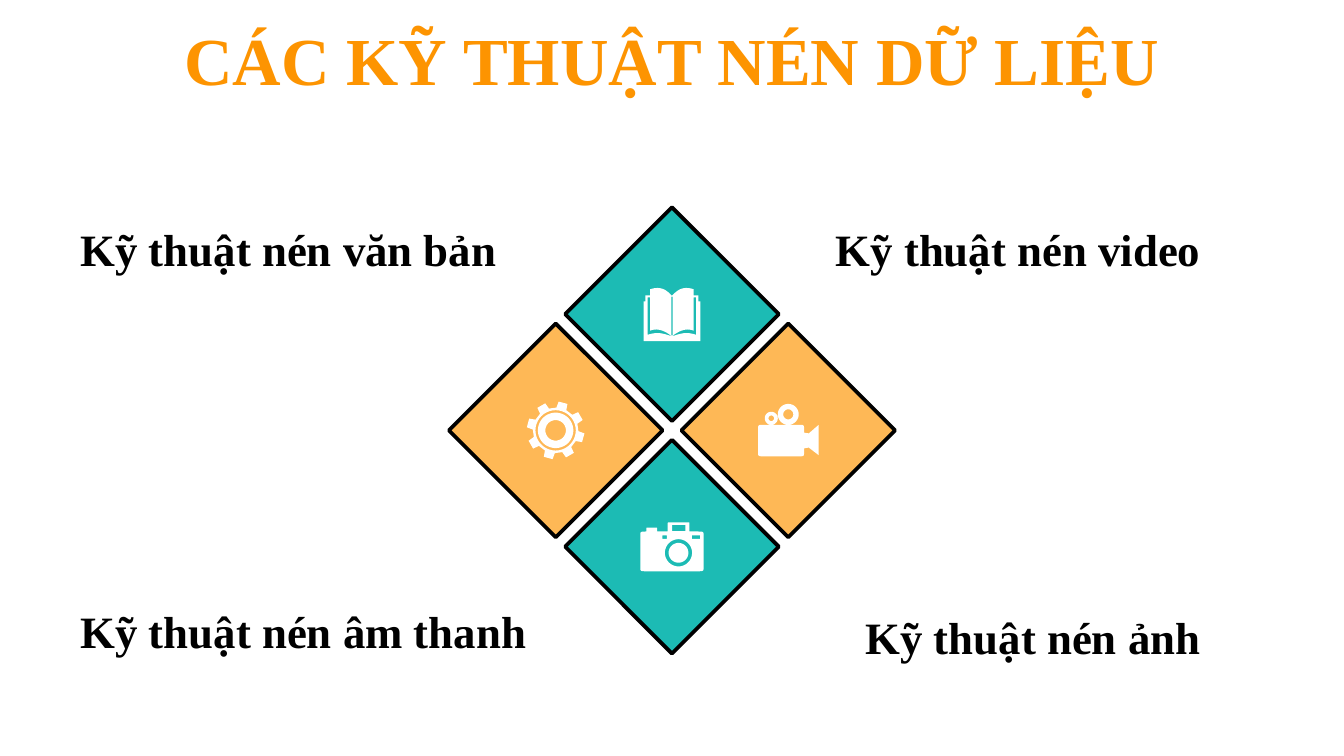
from dataclasses import dataclass
from math import cos, pi, radians, sin

from pptx import Presentation
from pptx.dml.color import RGBColor
from pptx.enum.shapes import MSO_SHAPE
from pptx.enum.text import MSO_ANCHOR, MSO_AUTO_SIZE, PP_ALIGN
from pptx.oxml.ns import qn
from pptx.util import Pt


@dataclass(frozen=True)
class Theme:
    font: str = "Times New Roman"
    title_size: int = 36
    label_size: int = 24
    title: RGBColor = RGBColor(0xFD, 0x94, 0x01)
    ink: RGBColor = RGBColor(0x00, 0x00, 0x00)
    icon: RGBColor = RGBColor(0xFF, 0xFF, 0xFF)
    teal: RGBColor = RGBColor(0x1C, 0xBB, 0xB4)
    amber: RGBColor = RGBColor(0xFE, 0xB8, 0x56)


class SlideWriter:
    def __init__(self, slide, theme):
        self.slide = slide
        self.theme = theme

    def text(self, words, left, top, width, height, size, color, align, anchor, fit):
        frame = self.slide.shapes.add_textbox(
            Pt(left), Pt(top), Pt(width), Pt(height)).text_frame
        frame.word_wrap = True
        frame.auto_size = fit
        frame.vertical_anchor = anchor
        paragraph = frame.paragraphs[0]
        paragraph.alignment = align
        run = paragraph.add_run()
        run.text = words
        run.font.name = self.theme.font
        run.font.size = Pt(size)
        run.font.bold = True
        run.font.color.rgb = color

    def title(self, words, left, top, width, height):
        self.text(words, left, top, width, height, self.theme.title_size, self.theme.title,
                  PP_ALIGN.CENTER, MSO_ANCHOR.MIDDLE, MSO_AUTO_SIZE.NONE)

    def label(self, words, left, top, width, height, align):
        self.text(words, left, top, width, height, self.theme.label_size, self.theme.ink,
                  align, MSO_ANCHOR.TOP, MSO_AUTO_SIZE.SHAPE_TO_FIT_TEXT)

    def diamond(self, center_x, center_y, size, color):
        tile = self.slide.shapes.add_shape(
            MSO_SHAPE.DIAMOND, Pt(center_x - size / 2), Pt(center_y - size / 2),
            Pt(size), Pt(size))
        tile.shadow.inherit = False
        tile.fill.solid()
        tile.fill.fore_color.rgb = color
        tile.line.color.rgb = self.theme.ink
        tile.line.width = Pt(2)
        outline = tile.element.spPr.find(qn("a:ln"))
        outline.append(outline.makeelement(qn("a:round"), {}))

    def icon(self, center_x, center_y, contours):
        """Draw contours around a centre; a contour inside another is a hole."""
        placed = [[(Pt(center_x + x), Pt(center_y + y)) for x, y in contour]
                  for contour in contours]
        builder = self.slide.shapes.build_freeform(*placed[0][0], scale=1.0)
        builder.add_line_segments(placed[0][1:], close=True)
        for contour in placed[1:]:
            builder.move_to(*contour[0])
            builder.add_line_segments(contour[1:], close=True)
        drawing = builder.convert_to_shape()
        drawing.shadow.inherit = False
        drawing.fill.solid()
        drawing.fill.fore_color.rgb = self.theme.icon
        drawing.line.fill.background()


def circle(x, y, radius, steps=40):
    return [(x + radius * cos(2 * pi * i / steps), y + radius * sin(2 * pi * i / steps))
            for i in range(steps)]


def box(left, top, right, bottom):
    return [(left, top), (right, top), (right, bottom), (left, bottom)]


def curve(start, pull_start, pull_end, end, steps=10):
    """Points along a cubic curve, both ends included."""
    points = []
    for i in range(steps + 1):
        t = i / steps
        weights = ((1 - t) ** 3, 3 * t * (1 - t) ** 2, 3 * t * t * (1 - t), t ** 3)
        corners = (start, pull_start, pull_end, end)
        points.append(tuple(sum(w * c[axis] for w, c in zip(weights, corners))
                            for axis in (0, 1)))
    return points


def rounded(corners):
    """Polygon from (x, y, radius) corners with right angles."""
    points = []
    for i, (x, y, radius) in enumerate(corners):
        ends = []
        for near_x, near_y, _ in (corners[i - 1], corners[(i + 1) % len(corners)]):
            share = radius / (abs(near_x - x) + abs(near_y - y))
            ends.append((x + (near_x - x) * share, y + (near_y - y) * share))
        points += curve(ends[0], (x, y), (x, y), ends[1], 6) if radius else [(x, y)]
    return points


def mirrored(points):
    return [(-x, y) for x, y in reversed(points)]


def book():
    cover = curve((0, -9.8), (3.5, -13.6), (6.5, -15), (11.7, -13.3)) + [
        (11.7, -10), (14.2, -10), (14.2, -6.8), (15.2, -6.8), (15.2, 14.5)]
    page_gap = [(11.7, -9), (13, -9)] + curve(
        (13, 11.1), (8, 9.4), (5, 10.2), (0.5, 11.8)) + curve(
        (0.5, 11.5), (4.4, 8.6), (8, 7.4), (11.7, 8.9))
    spine = box(-0.35, -9.4, 0.35, 11.4)
    return [cover + mirrored(cover), page_gap, mirrored(page_gap), spine]


def gear():
    rim = []
    for tooth in range(8):
        for turn, radius in ((-13, 12.2), (-9, 15.5), (9, 15.5), (13, 12.2)):
            angle = radians(15 + 45 * tooth + turn)
            rim.append((radius * cos(angle), radius * sin(angle)))
    return [rim] + [circle(0, 0, radius) for radius in (10.8, 9.5, 5.5)]


def video_camera():
    body = rounded([(-16.2, -3, 2.9), (8.5, -3, 2.9), (8.5, 13.9, 2.9), (-16.2, 13.9, 2.9)])
    horn = [(8.5, 1.2), (11, 1.6), (16.2, -2.9), (16.2, 13.2), (11, 9.2), (8.5, 9.6)]
    return [body, horn, circle(0, -8.6, 5.6), circle(0, -8.6, 2.7),
            circle(-9.1, -6.5, 3.5), circle(-9.1, -6.5, 1.5)]


def photo_camera():
    body = rounded([
        (-17, -8.1, 2.9), (-13.7, -8.1, 0), (-13.7, -10.2, 0.8), (-7.9, -10.2, 0.8),
        (-7.9, -8.1, 0), (-2.3, -8.1, 0), (-2.3, -13, 1), (9.4, -13, 1), (9.4, -8.1, 0),
        (17, -8.1, 2.9), (17, 13.2, 2.9), (-17, 13.2, 2.9)])
    return [body, circle(3.5, 3.3, 7.3), circle(3.5, 3.3, 5.3), box(0.1, -11.6, 7.2, -8.3),
            box(-5.2, -6, -2.7, -4.2), box(10.7, -6, 15.1, -4.2)]


def main():
    deck = Presentation()
    deck.slide_width, deck.slide_height = Pt(720), Pt(405)
    theme = Theme()
    writer = SlideWriter(deck.slides.add_slide(deck.slide_layouts[6]), theme)

    writer.title("CÁC KỸ THUẬT NÉN DỮ LIỆU", 0, 0.72, 720, 61.2)

    middle_x, middle_y, step, tile_size = 360, 230.6, 62.3, 114.5
    tiles = [
        (0, -1, theme.teal, book),
        (0, 1, theme.teal, photo_camera),
        (1, 0, theme.amber, video_camera),
        (-1, 0, theme.amber, gear),
    ]
    for column, row, color, icon in tiles:
        center = middle_x + column * step, middle_y + row * step
        writer.diamond(*center, tile_size, color)
        writer.icon(*center, icon())

    labels = [
        ("Kỹ thuật nén văn bản", 36, 115.2, 246.2, 36, PP_ALIGN.LEFT),
        ("Kỹ thuật nén âm thanh", 36, 319.7, 265.7, 36, PP_ALIGN.LEFT),
        ("Kỹ thuật nén video", 440.6, 115.2, 209.5, 64.8, PP_ALIGN.RIGHT),
        ("Kỹ thuật nén ảnh", 440.6, 323.3, 209.5, 36, PP_ALIGN.RIGHT),
    ]
    for label in labels:
        writer.label(*label)

    deck.save("out.pptx")


if __name__ == "__main__":
    main()
